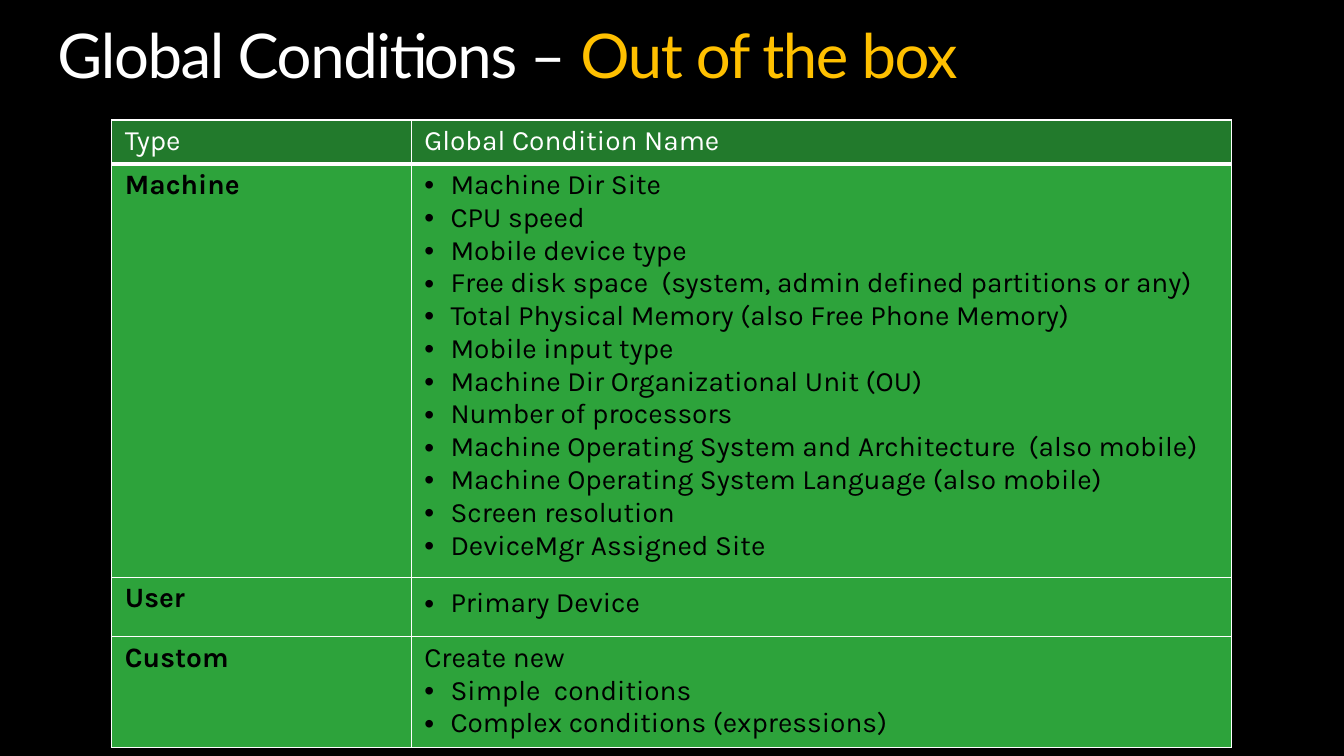
from lxml import etree
from pptx import Presentation
from pptx.dml.color import RGBColor
from pptx.enum import text
from pptx.oxml import ns
from pptx.util import Pt

BLACK = RGBColor(0x00, 0x00, 0x00)
WHITE = RGBColor(0xFF, 0xFF, 0xFF)
GOLD = RGBColor(0xFF, 0xC0, 0x00)
HEADER_GREEN = RGBColor(0x22, 0x7A, 0x2C)
BODY_GREEN = RGBColor(0x2D, 0xA3, 0x3B)

BULLET = "•"
COLUMN_WIDTHS = (213.84, 586.08)
ROW_HEIGHTS = (30.96, 295.2, 42.48, 79.2)
CONDITIONS = {
    "Machine": [
        "• Machine Dir Site",
        "• CPU speed",
        "• Mobile device type",
        "• Free disk space  (system, admin defined partitions or any)",
        "• Total Physical Memory (also Free Phone Memory)",
        "• Mobile input type",
        "• Machine Dir Organizational Unit (OU)",
        "• Number of processors",
        "• Machine Operating System and Architecture  (also mobile)",
        "• Machine Operating System Language (also mobile)",
        "• Screen resolution",
        "• DeviceMgr Assigned Site",
    ],
    "User": ["• Primary Device"],
    "Custom": [
        "Create new",
        "• Simple  conditions",
        "• Complex conditions (expressions)",
    ],
}


def apply(target, values):
    for name, value in values.items():
        setattr(target, name, value)


class SlideBuilder:
    title_font = {"name": "Lato", "size": Pt(44), "bold": False}
    table_font = {"name": "Karla", "size": Pt(20)}
    title_frame = {
        "margin_left": 0, "margin_top": 0, "margin_right": 0, "margin_bottom": 0,
        "word_wrap": True, "vertical_anchor": text.MSO_ANCHOR.TOP,
    }
    cell_format = {
        "margin_left": Pt(9.36), "margin_right": Pt(9.36),
        "margin_top": Pt(3.6), "margin_bottom": Pt(3.6),
        "vertical_anchor": text.MSO_ANCHOR.TOP,
    }
    loose_spacing = {"line_spacing": 1.15, "space_after": Pt(10)}
    bullet_indent = Pt(18.72)

    def __init__(self, presentation):
        self.slide = presentation.slides.add_slide(presentation.slide_layouts[6])
        fill = self.slide.background.fill
        fill.solid()
        fill.fore_color.rgb = BLACK

    def add_run(self, paragraph, wording, color, font):
        run = paragraph.add_run()
        run.text = wording
        apply(run.font, font)
        run.font.color.rgb = color
        return run

    def add_title(self, parts, left, top, width, height):
        shape = self.slide.shapes.add_textbox(Pt(left), Pt(top), Pt(width), Pt(height))
        apply(shape.text_frame, self.title_frame)
        paragraph = shape.text_frame.paragraphs[0]
        paragraph.line_spacing = 0.9
        for wording, color in parts:
            run = self.add_run(paragraph, wording, color, self.title_font)
            run.font._element.set("spc", "-100")

    def add_table(self, left, top, widths, heights):
        frame = self.slide.shapes.add_table(
            len(heights), len(widths), Pt(left), Pt(top), Pt(sum(widths)), Pt(sum(heights)))
        table = frame.table
        apply(table, {"first_row": False, "horz_banding": False})
        for column, width in zip(table.columns, widths):
            column.width = Pt(width)
        for row, height in zip(table.rows, heights):
            row.height = Pt(height)
        return table

    def add_borders(self, cell, bottom):
        properties = cell._tc.get_or_add_tcPr()
        for side, weight in {"L": 1, "R": 1, "T": 1, "B": bottom}.items():
            line = etree.SubElement(properties, ns.qn(f"a:ln{side}"), w=str(Pt(weight)))
            fill = etree.SubElement(line, ns.qn("a:solidFill"))
            etree.SubElement(fill, ns.qn("a:srgbClr"), val=str(WHITE))

    def set_bullet(self, paragraph, bulleted):
        properties = paragraph._p.get_or_add_pPr()
        properties.set("marL", str(self.bullet_indent))
        properties.set("indent", str(-self.bullet_indent))
        if bulleted:
            etree.SubElement(properties, ns.qn("a:buFont"), typeface="Arial")
            etree.SubElement(properties, ns.qn("a:buChar"), char=BULLET)
        else:
            etree.SubElement(properties, ns.qn("a:buNone"))

    def fill_cell(self, cell, lines, fill, color, bold=False, bottom=1,
                  listed=False, spacing=None):
        apply(cell, self.cell_format)
        self.add_borders(cell, bottom)
        cell.fill.solid()
        cell.fill.fore_color.rgb = fill
        frame = cell.text_frame
        for index, line in enumerate(lines):
            paragraph = frame.add_paragraph() if index else frame.paragraphs[0]
            if listed:
                self.set_bullet(paragraph, line.startswith(BULLET))
            apply(paragraph, spacing or {})
            wording = line.removeprefix(BULLET).lstrip()
            self.add_run(paragraph, wording, color, {**self.table_font, "bold": bold})


def main():
    presentation = Presentation()
    presentation.slide_width, presentation.slide_height = Pt(960), Pt(540)
    builder = SlideBuilder(presentation)
    builder.add_title(
        [("Global Conditions – ", WHITE), ("Out of the box", GOLD)], 41.04, 18, 877.68, 48.24)
    table = builder.add_table(79.92, 85.68, COLUMN_WIDTHS, ROW_HEIGHTS)
    for column, heading in enumerate(("Type", "Global Condition Name")):
        builder.fill_cell(table.cell(0, column), [heading], HEADER_GREEN, WHITE, bottom=3)
    for row, (kind, names) in enumerate(CONDITIONS.items(), start=1):
        builder.fill_cell(table.cell(row, 0), [kind], BODY_GREEN, BLACK, bold=True)
        spacing = builder.loose_spacing if kind == "User" else None
        builder.fill_cell(
            table.cell(row, 1), names, BODY_GREEN, BLACK, listed=True, spacing=spacing)
    presentation.save("out.pptx")


if __name__ == "__main__":
    main()
